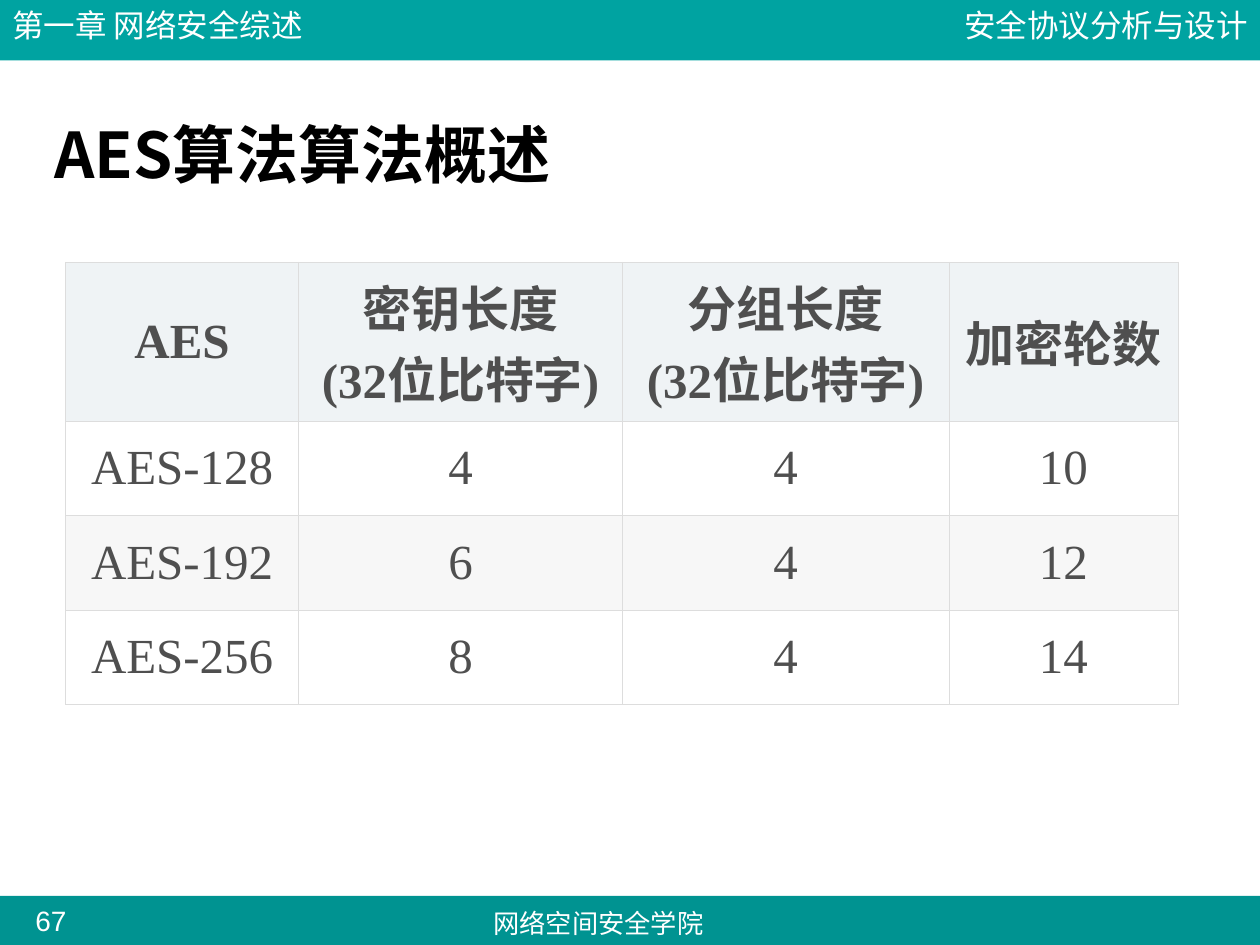
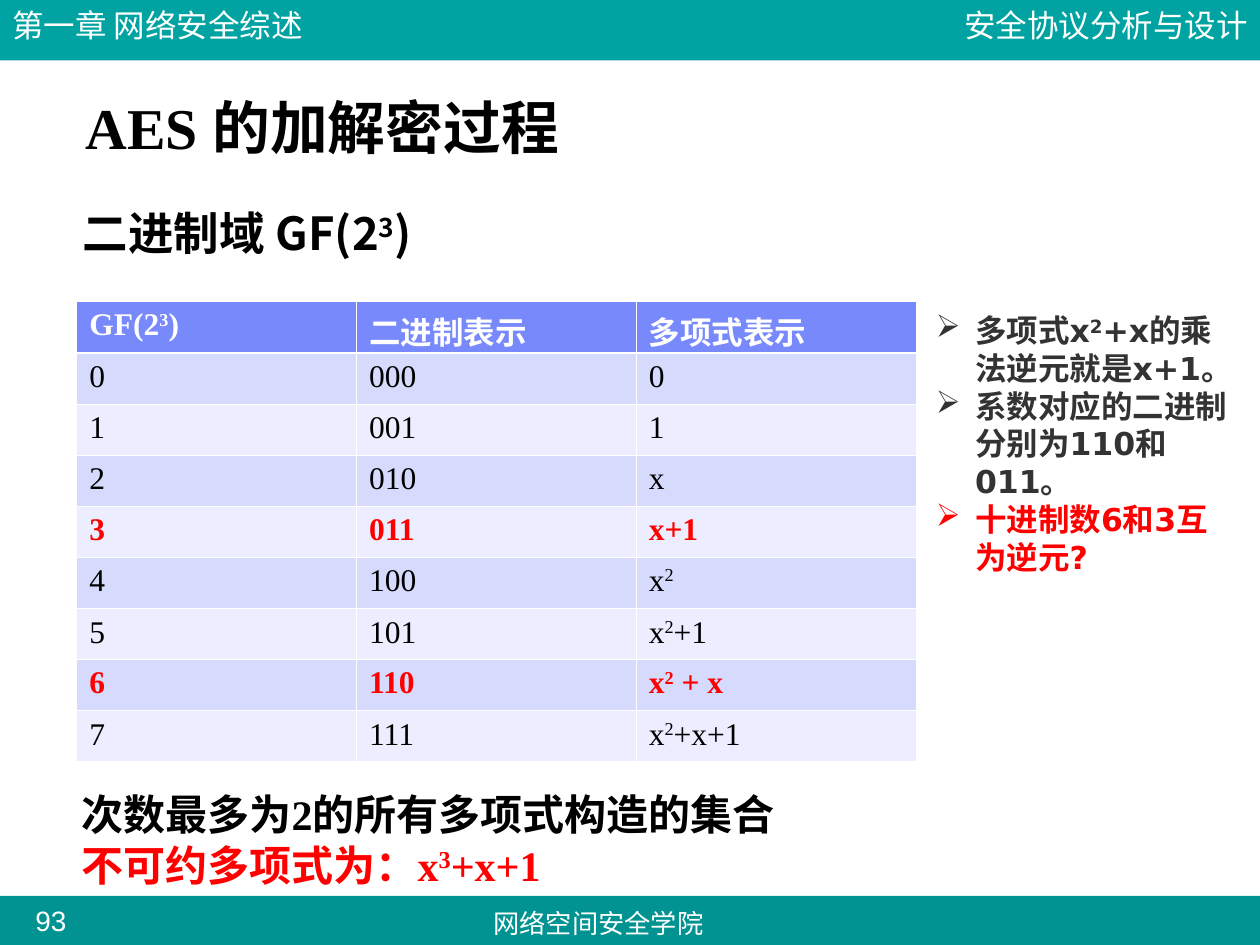
from dataclasses import dataclass

from lxml import etree
from pptx import Presentation
from pptx import util as u
from pptx.dml.color import RGBColor
from pptx.enum import shapes, text
from pptx.oxml.ns import qn

LEFT, CENTER, RIGHT = text.PP_ALIGN.LEFT, text.PP_ALIGN.CENTER, text.PP_ALIGN.RIGHT


@dataclass(frozen=True)
class Theme:
    header_band: str = "00A3A1"
    footer_band: str = "009391"
    white: str = "FFFFFF"
    black: str = "000000"
    red: str = "FF0000"
    note_text: str = "333333"
    key_text: str = "4F4F4F"
    key_header: str = "EFF3F5"
    key_rows: tuple = ("FFFFFF", "F7F7F7")
    key_border: str = "DDDDDD"
    field_header: str = "7889FB"
    field_rows: tuple = ("D6DAFD", "ECEDFE")
    sans: str = "Arial"
    serif: str = "Times New Roman"
    cjk: str = "Noto Sans CJK SC"
    note_font: str = "DejaVu Sans"
    footer_size: int = 15
    number_size: int = 16
    small_size: int = 18
    summary_size: int = 24
    subtitle_size: int = 26
    key_size: int = 28
    process_title_size: int = 33
    overview_title_size: int = 36


@dataclass(frozen=True)
class Style:
    font: str
    size: float
    color: str
    bold: bool = False
    align: object = LEFT


class Deck:
    def __init__(self, theme):
        self.theme = theme
        self.presentation = Presentation()
        self.presentation.slide_width = u.Inches(10)
        self.presentation.slide_height = u.Inches(7.5)
        self.slide = None

    def add_slide(self, number, title, box, font, size):
        theme = self.theme
        layout = self.presentation.slide_layouts.get_by_name("Title Only")
        self.slide = self.presentation.slides.add_slide(layout)
        self.band(0, 0.48, theme.header_band)
        self.band(7.11, 0.39, theme.footer_band)
        running = Style(theme.sans, theme.small_size, theme.white)
        self.text_box((0, 0, 3.08, 0.4), [("第一章 网络安全综述", running)])
        self.text_box((6.92, 0, 3.08, 0.4), [
            ("安全协议分析与设计", Style(theme.sans, theme.small_size, theme.white, align=RIGHT))])
        self.text_box((3.58, 7.15, 2.34, 0.35), [
            ("网络空间安全学院", Style(theme.sans, theme.footer_size, theme.white, align=CENTER))])
        self.text_box((0.14, 7.17, 0.53, 0.27), [
            (str(number), Style(theme.sans, theme.number_size, theme.white, align=CENTER))],
            margins=(0, 0))
        self.title(title, box, Style(font, size, theme.black, bold=True))

    def title(self, title, box, style):
        shape = self.slide.shapes.title
        shape.left, shape.top, shape.width, shape.height = map(u.Inches, box)
        frame = shape.text_frame
        frame.auto_size = text.MSO_AUTO_SIZE.NONE
        frame.vertical_anchor = text.MSO_ANCHOR.MIDDLE
        frame.paragraphs[0].line_spacing = 0.9
        self.fill_paragraph(frame.paragraphs[0], title, style)

    def band(self, top, height, color):
        shape = self.slide.shapes.add_shape(
            shapes.MSO_SHAPE.RECTANGLE, 0, u.Inches(top),
            self.presentation.slide_width, u.Inches(height))
        shape.shadow.inherit = False
        shape.fill.solid()
        shape.fill.fore_color.rgb = RGBColor.from_string(color)
        shape.line.fill.background()

    def fill_paragraph(self, paragraph, content, style):
        """Fill a paragraph; the character after each ^ is superscript."""
        paragraph.alignment = style.align
        font = paragraph.font
        font.size, font.bold, font.name = u.Pt(style.size), style.bold, style.font
        font.color.rgb = RGBColor.from_string(style.color)
        east_asian = etree.SubElement(font._element, qn("a:ea"))
        east_asian.set("typeface", self.theme.cjk)
        plain, *raised = content.split("^")
        paragraph.add_run().text = plain
        for piece in raised:
            run = paragraph.add_run()
            run.text = piece[0]
            run.font._element.set("baseline", "30000")
            if piece[1:]:
                paragraph.add_run().text = piece[1:]

    def text_box(self, box, lines, margins=(0.1, 0.05), indent=0, bullet=None, wrap=True):
        frame = self.slide.shapes.add_textbox(*map(u.Inches, box)).text_frame
        frame.word_wrap = wrap
        frame.margin_left = frame.margin_right = u.Inches(margins[0])
        frame.margin_top = frame.margin_bottom = u.Inches(margins[1])
        for index, (content, style) in enumerate(lines):
            paragraph = frame.add_paragraph() if index else frame.paragraphs[0]
            if indent:
                self.indent(paragraph, indent, bullet, style.color)
            self.fill_paragraph(paragraph, content, style)

    def indent(self, paragraph, distance, bullet, color):
        properties = paragraph._p.get_or_add_pPr()
        properties.set("marL", str(u.Inches(distance)))
        properties.set("indent", str(-u.Inches(distance) if bullet else 0))
        if bullet:
            bullet_color = etree.SubElement(properties, qn("a:buClr"))
            etree.SubElement(bullet_color, qn("a:srgbClr")).set("val", color)
            etree.SubElement(properties, qn("a:buChar")).set("char", bullet)

    def table(self, origin, widths, heights, rows, header, body, fills, border,
              header_line=None, margins=(0.1, 0.05), anchor=text.MSO_ANCHOR.TOP, marked=()):
        """Draw a table; fills is (header, body bands), border is (colour, points)."""
        header_fill, bands = fills
        color, thin = border
        thick = header_line or thin
        table = self.slide.shapes.add_table(
            len(rows), len(widths),
            *map(u.Inches, (*origin, sum(widths), sum(heights)))).table
        table.first_row = table.horz_banding = False
        for column, width in zip(table.columns, widths):
            column.width = u.Inches(width)
        for index, (row, height, values) in enumerate(zip(table.rows, heights, rows)):
            row.height = u.Inches(height)
            style = header if index == 0 else body
            if index in marked:
                style = Style(body.font, body.size, self.theme.red, True, body.align)
            fill = bands[(index - 1) % len(bands)] if index else header_fill
            lines = {"L": thin, "R": thin, "T": thick if index == 1 else thin,
                     "B": thick if index == 0 else thin}
            for cell, value in zip(row.cells, values):
                self.borders(cell, color, lines)
                cell.fill.solid()
                cell.fill.fore_color.rgb = RGBColor.from_string(fill)
                cell.vertical_anchor = anchor
                cell.margin_left = cell.margin_right = u.Inches(margins[0])
                cell.margin_top = cell.margin_bottom = u.Inches(margins[1])
                frame = cell.text_frame
                for position, line in enumerate(value.split("\n")):
                    paragraph = frame.add_paragraph() if position else frame.paragraphs[0]
                    self.fill_paragraph(paragraph, line, style)

    def borders(self, cell, color, lines):
        properties = cell._tc.get_or_add_tcPr()
        for side, points in lines.items():
            line = etree.SubElement(properties, qn(f"a:ln{side}"), w=str(u.Pt(points)))
            fill = etree.SubElement(line, qn("a:solidFill"))
            etree.SubElement(fill, qn("a:srgbClr")).set("val", color)


def add_key_length_slide(deck):
    theme = deck.theme
    deck.add_slide(67, "AES算法算法概述", (0.33, 0.92, 9.02, 0.67),
                   theme.cjk, theme.overview_title_size)
    rows = [
        ("AES", "密钥长度\n(32位比特字)", "分组长度\n(32位比特字)", "加密轮数"),
        ("AES-128", "4", "4", "10"),
        ("AES-192", "6", "4", "12"),
        ("AES-256", "8", "4", "14"),
    ]
    deck.table(
        (0.52, 2.08), (1.85, 2.57, 2.59, 1.82), (1.26, 0.75, 0.75, 0.75), rows,
        header=Style(theme.serif, theme.key_size, theme.key_text, True, CENTER),
        body=Style(theme.serif, theme.key_size, theme.key_text, False, CENTER),
        fills=(theme.key_header, theme.key_rows), border=(theme.key_border, 0.28),
        margins=(0.04, 0.05), anchor=text.MSO_ANCHOR.MIDDLE)


def add_binary_field_slide(deck):
    theme = deck.theme
    deck.add_slide(93, "AES 的加解密过程", (0.58, 0.75, 8.52, 0.58),
                   theme.serif, theme.process_title_size)
    deck.text_box((0.25, 1.58, 9.42, 5.5), [
        ("二进制域 GF(2^3)", Style(theme.cjk, theme.subtitle_size, theme.black, True))],
        indent=0.31)

    polynomials = ["0", "1", "x", "x+1", "x^2", "x^2+1", "x^2 + x", "x^2+x+1"]
    rows = [("GF(2^3)", "二进制表示", "多项式表示")]
    rows += [(str(n), f"{n:03b}", polynomial) for n, polynomial in enumerate(polynomials)]
    deck.table(
        (0.61, 2.39), [2.22] * 3, [0.41] + [0.41, 0.4] * 4, rows,
        header=Style(theme.serif, theme.small_size, theme.white, True),
        body=Style(theme.serif, theme.small_size, theme.black),
        fills=(theme.field_header, theme.field_rows), border=(theme.white, 0.45),
        header_line=1.47, marked=(4, 7))

    deck.text_box((0.55, 6.21, 5.86, 0.9), [
        ("次数最多为2的所有多项式构造的集合",
         Style(theme.serif, theme.summary_size, theme.black, True)),
        ("不可约多项式为：x^3+x+1",
         Style(theme.serif, theme.summary_size, theme.red, True)),
    ], wrap=False)

    note = Style(theme.note_font, theme.small_size, theme.note_text, True)
    question = Style(theme.note_font, theme.small_size, theme.red, True)
    deck.text_box((7.33, 2.42, 2.58, 2.2), [
        ("多项式x^2+x的乘法逆元就是x+1。", note),
        ("系数对应的二进制分别为110和011。", note),
        ("十进制数6和3互为逆元?", question),
    ], indent=0.31, bullet="➢")


def main():
    deck = Deck(Theme())
    add_key_length_slide(deck)
    add_binary_field_slide(deck)
    deck.presentation.save("out.pptx")


if __name__ == "__main__":
    main()
